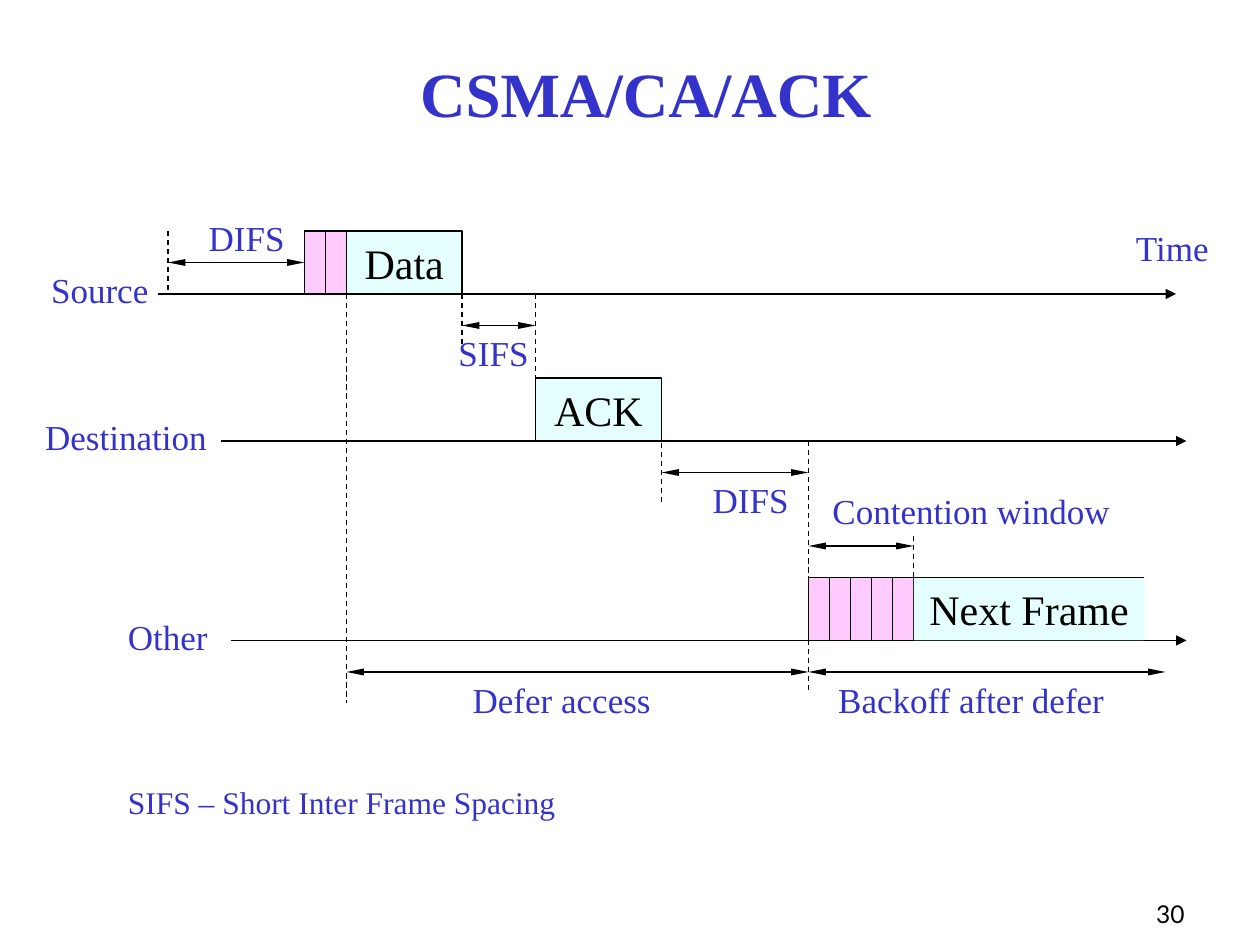
from lxml.etree import SubElement
from pptx import Presentation
from pptx.dml.color import RGBColor
from pptx.enum.dml import MSO_LINE
from pptx.enum.shapes import MSO_CONNECTOR, MSO_SHAPE
from pptx.enum.text import MSO_ANCHOR, MSO_AUTO_SIZE, PP_ALIGN
from pptx.oxml.ns import qn
from pptx.util import Inches, Pt

BLUE = RGBColor(0x33, 0x33, 0xCC)
BLACK = RGBColor(0x00, 0x00, 0x00)
PINK = RGBColor(0xFF, 0x99, 0xFF)
AQUA = RGBColor(0xCC, 0xFF, 0xFF)
SERIF, SANS = "Times New Roman", "Lato"

# Grid of twelve units to the inch: the slide is 120 columns by 90 rows
SOURCE, DESTINATION, OTHER = 28, 42, 61  # rows of the three time axes
FRAME_HEIGHT, SLOT_WIDTH = 6, 2


def grid(*units):
    return [Inches(unit / 12) for unit in units]


class TimingSlide:
    def __init__(self, deck):
        self.slide = deck.slides.add_slide(deck.slide_layouts[5])
        self.shapes = self.slide.shapes

    def add_words(self, frame, text, size, color=BLUE, font=SERIF, bold=False,
                  align=PP_ALIGN.CENTER, anchor=MSO_ANCHOR.TOP, before=0.0):
        frame.word_wrap = True
        frame.vertical_anchor = anchor
        paragraph = frame.paragraphs[0]
        paragraph.alignment = align
        paragraph.space_before = Pt(before * size)
        run = paragraph.add_run()
        run.text = text
        run.font.size, run.font.name, run.font.bold = Pt(size), font, bold
        run.font.color.rgb = color

    def title(self, text, *box):
        title = self.shapes.title
        title.left, title.top, title.width, title.height = grid(*box)
        title.text_frame.auto_size = MSO_AUTO_SIZE.NONE
        self.add_words(title.text_frame, text, 36, bold=True, anchor=MSO_ANCHOR.BOTTOM)

    def label(self, text, col, row, width, size=20, align=PP_ALIGN.CENTER):
        box = self.shapes.add_textbox(*grid(col, row, width, 5.25))
        box.text_frame.auto_size = MSO_AUTO_SIZE.SHAPE_TO_FIT_TEXT
        self.add_words(box.text_frame, text, size, align=align, before=0.625)

    def page_number(self, text, *box):
        number = self.shapes.add_textbox(*grid(*box))
        self.add_words(number.text_frame, text, 14, BLACK, SANS,
                       align=PP_ALIGN.RIGHT, anchor=MSO_ANCHOR.BOTTOM)

    def line(self, x1, y1, x2, y2, dashed=False):
        line = self.shapes.add_connector(MSO_CONNECTOR.STRAIGHT, *grid(x1, y1, x2, y2))
        line.line.color.rgb, line.line.width = BLACK, Pt(0.75)
        if dashed:
            line.line.dash_style = MSO_LINE.DASH
        SubElement(line._element.spPr, qn("a:effectLst"))
        return line

    def arrowhead(self, line, end, width, length):
        outline = line._element.spPr.find(qn("a:ln"))
        head = SubElement(outline, qn(f"a:{end}"))
        for key, value in (("type", "triangle"), ("w", width), ("len", length)):
            head.set(key, value)

    def time_axis(self, start, row, end):
        self.arrowhead(self.line(start, row, end, row), "tailEnd", "med", "med")

    def interval(self, start, row, end):
        span = self.line(start, row, end, row)
        for side in ("headEnd", "tailEnd"):
            self.arrowhead(span, side, "sm", "lg")
        return span

    def block(self, col, axis, width, color, text=None, outlined=True):
        block = self.shapes.add_shape(
            MSO_SHAPE.RECTANGLE, *grid(col, axis - FRAME_HEIGHT, width, FRAME_HEIGHT))
        block.shadow.inherit = False
        block.fill.solid()
        block.fill.fore_color.rgb = color
        tint = block._element.spPr.find(f"{qn('a:solidFill')}/{qn('a:srgbClr')}")
        SubElement(tint, qn("a:alpha")).set("val", "50000")
        if outlined:
            block.line.color.rgb, block.line.width = BLACK, Pt(0.75)
        else:
            block.line.fill.background()
        if text:
            self.add_words(block.text_frame, text, 24, BLACK, before=0.625)
        return block

    def slots(self, col, axis, count):
        return [self.block(col + i * SLOT_WIDTH, axis, SLOT_WIDTH, PINK)
                for i in range(count)]


def main():
    deck = Presentation()
    deck.slide_width, deck.slide_height = grid(120, 90)
    timing = TimingSlide(deck)
    timing.title("CSMA/CA/ACK", 9, 1, 105, 12)

    # Time axes
    for start, row, end in ((15, SOURCE, 112), (21, DESTINATION, 113), (22, OTHER, 113)):
        timing.time_axis(start, row, end)

    # Dashed time marks: column, top row, bottom row
    for col, top, bottom in ((33, 22, 67), (16, 22, 28), (44, 22, 33), (51, 28, 42),
                             (63, 37, 48), (77, 42, 66), (87, 51, 56)):
        timing.line(col, top, col, bottom, dashed=True)

    # Backoff slots and frames
    source_slots = timing.slots(29, SOURCE, 2)
    timing.slots(77, OTHER, 5)
    timing.block(87, OTHER, 22, AQUA, "Next Frame", outlined=False)
    timing.line(87, OTHER - FRAME_HEIGHT, 109, OTHER - FRAME_HEIGHT)
    timing.block(51, DESTINATION, 12, AQUA, "ACK")
    timing.block(33, SOURCE, 11, AQUA, "Data")

    # Intervals between the marks
    first_difs = timing.interval(16, 25, 29)
    first_difs.end_connect(source_slots[0], 1)
    for start, row, end in ((44, 31, 51), (63, 45, 77), (77, 52, 87),
                            (33, 64, 77), (77, 64, 111)):
        timing.interval(start, row, end)

    # Labels: text, column, row, width
    for text, col, row, width in (
            ("DIFS", 18, 20, 11), ("Source", 2, 25, 15), ("Destination", 3, 39, 18),
            ("DIFS", 66, 45, 11), ("SIFS", 42, 31, 10),
            ("Contention window", 77, 46, 31), ("Defer access", 38, 64, 31),
            ("Backoff after defer", 77, 64, 31)):
        timing.label(text, col, row, width)
    timing.label("Other", 11, 58, 11, align=PP_ALIGN.LEFT)
    timing.label("Time", 107, 21, 10, align=PP_ALIGN.LEFT)
    timing.label("SIFS – Short Inter Frame Spacing", 11, 74, 59, 18, PP_ALIGN.LEFT)
    timing.page_number("30", 89, 83, 25, 6)

    deck.save("out.pptx")


if __name__ == "__main__":
    main()
